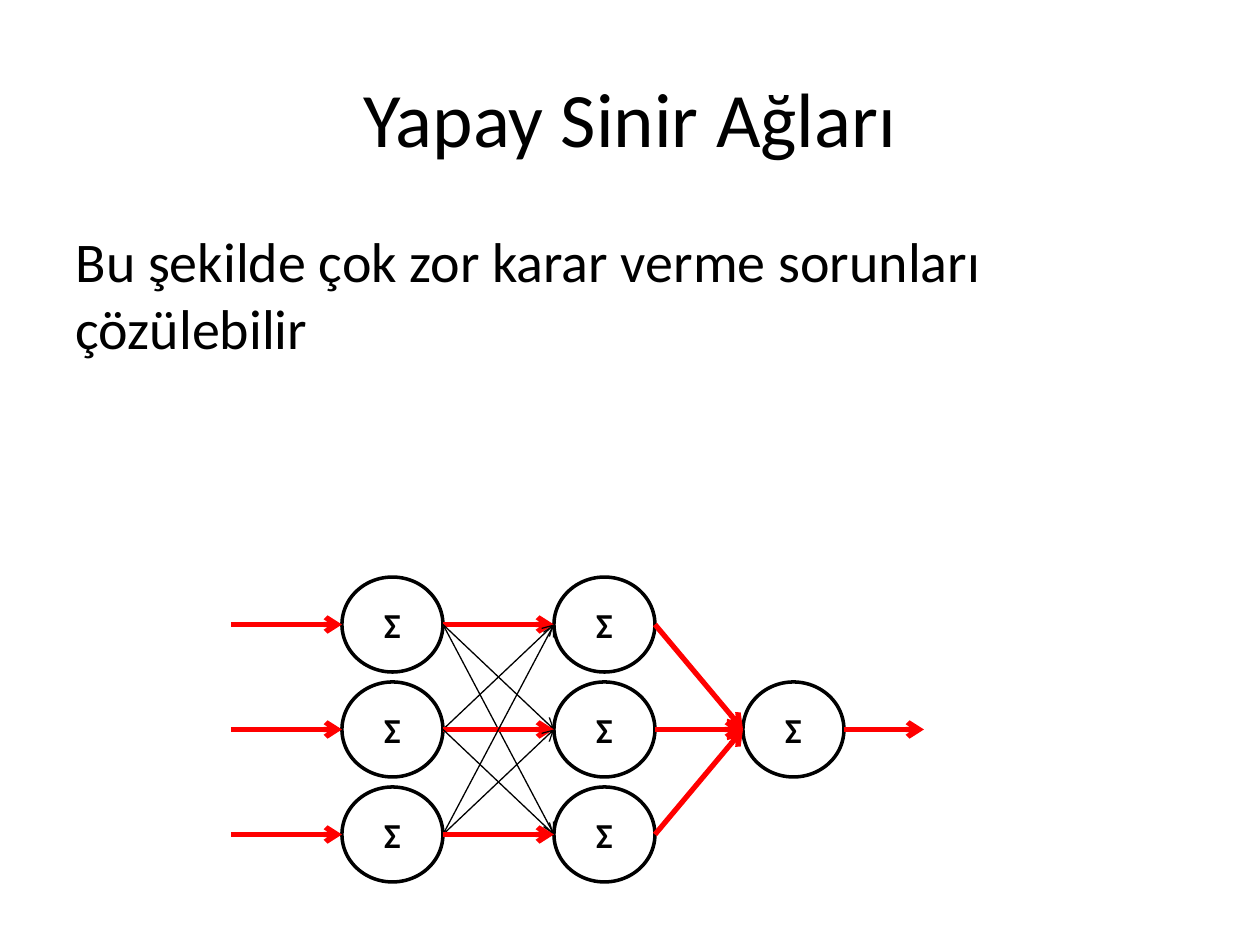
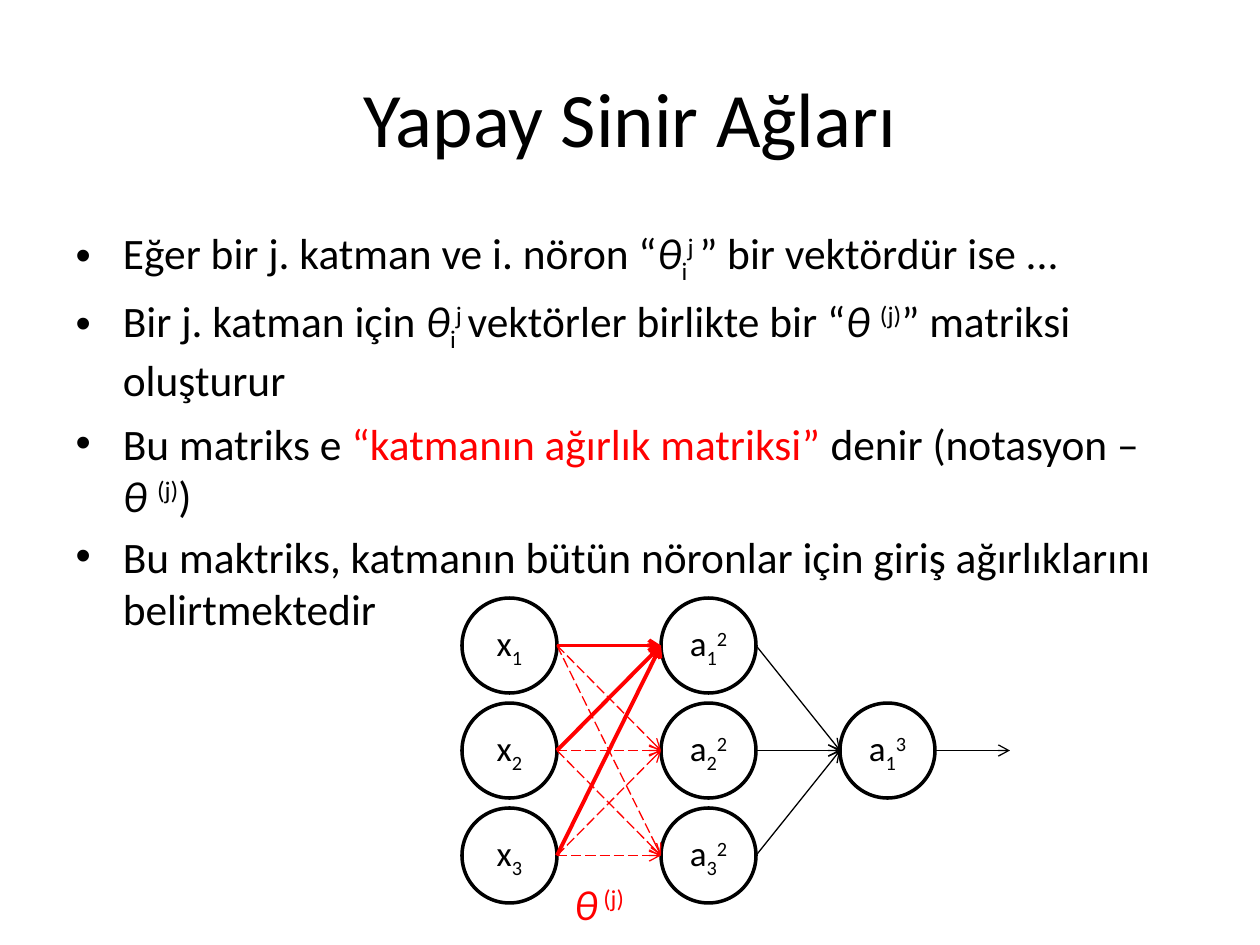
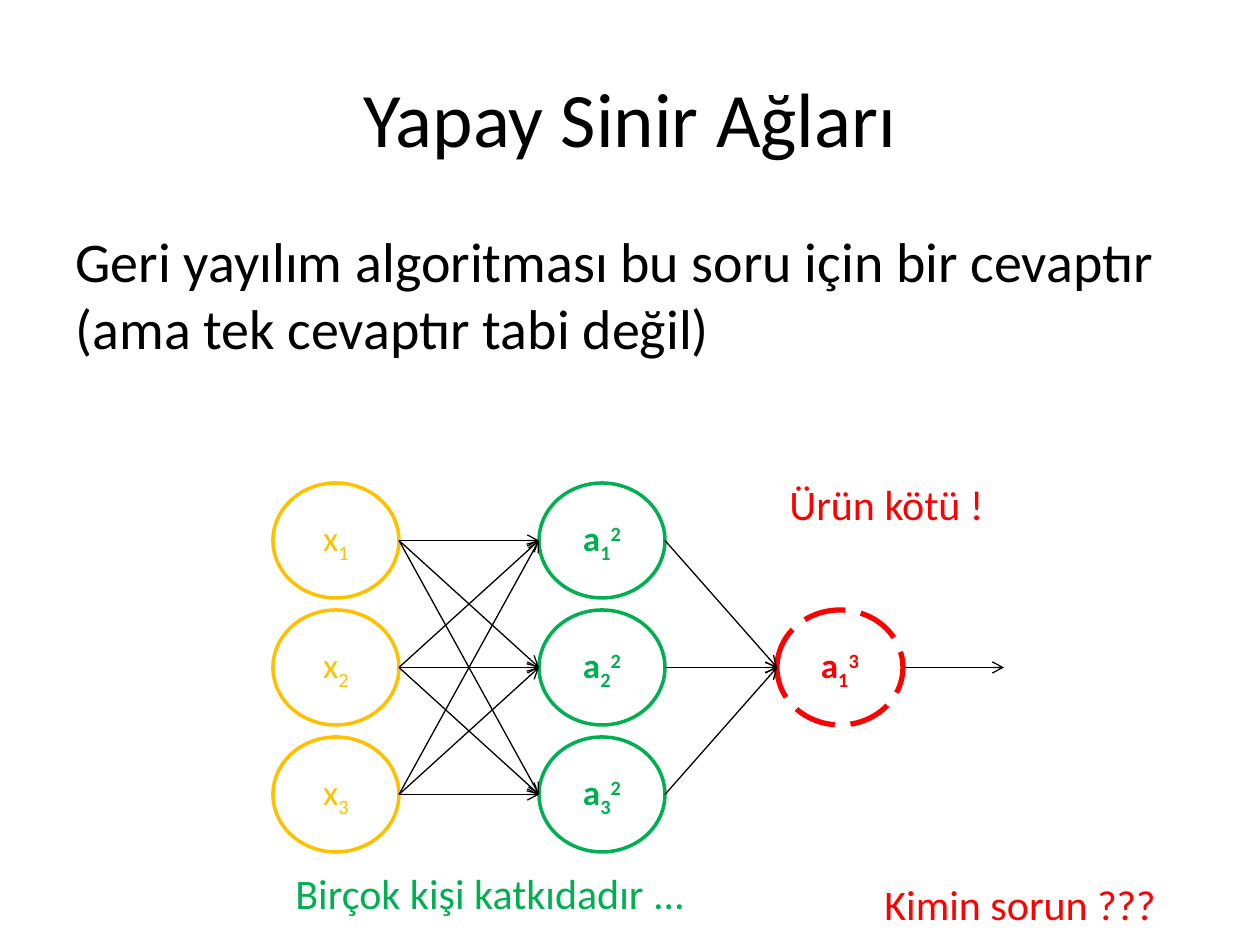
from dataclasses import dataclass
from itertools import product

from lxml.etree import SubElement
from pptx import Presentation
from pptx.dml.color import RGBColor
from pptx.enum.dml import MSO_LINE
from pptx.enum.shapes import MSO_CONNECTOR as Connector, MSO_SHAPE as Shape
from pptx.enum.text import MSO_ANCHOR as Anchor, MSO_AUTO_SIZE as AutoSize, PP_ALIGN as Align
from pptx.oxml.ns import qn
from pptx.util import Pt

PX = 914400 / 126  # EMU in one px


# Theme: colours and type sizes
@dataclass(frozen=True)
class Theme:
    font: str = "Calibri"
    black: str = "000000"
    white: str = "FFFFFF"
    red: str = "FF0000"
    amber: str = "FFC000"
    green: str = "00B050"
    title: float = 44
    lead: float = 32
    bullets: float = 24.8
    caption: float = 24
    node: float = 20


THEME = Theme()
TITLE = "Yapay Sinir Ağları"
TITLE_AREA = (63, 38, 1134, 157)

# Span formats
ITALIC = {"italic": True}
SUB = {"baseline": -25000}
SUP = {"baseline": 30000}
RED = {"color": THEME.red}

# Line formats: colour, width in points, dash
THIN = (THEME.black, 0.75, None)
OUTLINE = (THEME.black, 2, None)
RED_THICK = (THEME.red, 3, None)
RED_STRONG = (THEME.red, 2.25, None)
RED_DASHED = (THEME.red, 0.75, MSO_LINE.LONG_DASH)


@dataclass(frozen=True)
class Layer:
    left: int
    labels: list
    line: tuple = OUTLINE
    bold: bool = False


def emu(*lengths):
    return [round(length * PX) for length in lengths]


# Text
def add_spans(para, spans, size, color=THEME.black, bold=False):
    for text, extra in spans:
        span = para.add_run()
        span.text = text
        values = {"color": color, **extra}
        span.font.color.rgb = RGBColor.from_string(values.pop("color"))
        baseline = values.pop("baseline", None)
        if baseline:
            span._r.get_or_add_rPr().set("baseline", str(baseline))
        values = {"name": THEME.font, "size": Pt(size), "bold": bold, **values}
        for name, value in values.items():
            setattr(span.font, name, value)


def place(shape, area):
    for name, value in zip(("left", "top", "width", "height"), emu(*area)):
        setattr(shape, name, value)


def add_page(deck, body_area):
    page = deck.slides.add_slide(deck.slide_layouts[1])
    title, body = page.placeholders
    place(title, TITLE_AREA)
    place(body, body_area)
    title.text_frame.vertical_anchor = Anchor.MIDDLE
    for holder in (title, body):
        holder.text_frame.auto_size = AutoSize.NONE
    add_spans(title.text_frame.paragraphs[0], [(TITLE, {})], THEME.title)
    return page, body.text_frame


def add_lead(frame, text):
    para = frame.paragraphs[0]
    props = para._p.get_or_add_pPr()
    for name in ("marL", "indent"):
        props.set(name, "0")
    SubElement(props, qn("a:buNone"))
    add_spans(para, [(text, {})], THEME.lead)


def add_bullets(frame, items):
    for index, lines in enumerate(items):
        para = frame.add_paragraph() if index else frame.paragraphs[0]
        for number, spans in enumerate(lines):
            if number:
                para.add_line_break()
            add_spans(para, spans, THEME.bullets)


def add_caption(page, area, spans, color, wrap=True):
    frame = page.shapes.add_textbox(*emu(*area)).text_frame
    frame.word_wrap = wrap
    frame.auto_size = AutoSize.SHAPE_TO_FIT_TEXT
    add_spans(frame.paragraphs[0], spans, THEME.caption, color)


# Network parts
def style_line(line, style):
    color, width, dash = style
    line.color.rgb = RGBColor.from_string(color)
    line.width = Pt(width)
    if dash:
        line.dash_style = dash


def add_node(group, area, label, layer):
    node = group.shapes.add_shape(Shape.OVAL, *emu(*area))
    node.shadow.inherit = False
    node.fill.solid()
    node.fill.fore_color.rgb = RGBColor.from_string(THEME.white)
    style_line(node.line, layer.line)
    frame = node.text_frame
    settings = {"word_wrap": False, "vertical_anchor": Anchor.MIDDLE,
                "margin_left": 0, "margin_right": 0}
    for name, value in settings.items():
        setattr(frame, name, value)
    frame.paragraphs[0].alignment = Align.CENTER
    add_spans(frame.paragraphs[0], label, THEME.node, layer.line[0], layer.bold)


def add_arrow(group, start, end, style):
    arrow = group.shapes.add_connector(Connector.STRAIGHT, *emu(*start, *end))
    style_line(arrow.line, style)
    SubElement(arrow.line._get_or_add_ln(), qn("a:tailEnd"), type="arrow")
    SubElement(arrow._element.spPr, qn("a:effectLst"))


def add_network(page, layers, top, size, pitch, exit_end, hidden_style,
                output_style=THIN, entry_start=None):
    """Draw layers of nodes; hidden_style(source, target) picks a line format."""
    group = page.shapes.add_group_shape()
    width, height = size
    rows = max(len(layer.labels) for layer in layers)

    def node_tops(layer):
        first = top + (rows - len(layer.labels)) * pitch // 2
        return [first + row * pitch for row in range(len(layer.labels))]

    def ports(layer, side):
        return [(layer.left + side, y + height / 2) for y in node_tops(layer)]

    for layer in layers:
        for y, label in zip(node_tops(layer), layer.labels):
            add_node(group, (layer.left, y, width, height), label, layer)

    inputs, hidden, output = layers
    for (i, start), (j, end) in product(enumerate(ports(inputs, width)),
                                        enumerate(ports(hidden, 0))):
        add_arrow(group, start, end, hidden_style(i, j))
    for start in ports(hidden, width):
        add_arrow(group, start, ports(output, 0)[0], output_style)
    exit_start = ports(output, width)[0]
    add_arrow(group, exit_start, (exit_end, exit_start[1]), output_style)
    if entry_start is not None:
        for end in ports(inputs, 0):
            add_arrow(group, (entry_start, end[1]), end, output_style)


# Node labels
def input_labels():
    return [[("x", {}), (str(row), SUB)] for row in (1, 2, 3)]


def neuron_labels(count, layer):
    return [[("a", {}), (str(row + 1), SUB), (str(layer), SUP)] for row in range(count)]


# Slides
def decision_page(deck):
    page, body = add_page(deck, (63, 220, 1134, 325))
    add_lead(body, "Bu şekilde çok zor karar verme sorunları çözülebilir")
    sigma = [("Σ", {})]
    layers = [Layer(left, [sigma] * count, bold=True)
              for left, count in ((342, 3), (554, 3), (743, 1))]
    add_network(page, layers, 577, (101, 95), 105, 924,
                lambda i, j: RED_THICK if i == j else THIN,
                output_style=RED_THICK, entry_start=231)


def weights_page(deck):
    page, body = add_page(deck, (63, 220, 1144, 388))
    vector = [("θ", ITALIC), ("i", SUB), ("j ", SUP)]
    matrix = [("θ ", ITALIC), ("(j)", SUP)]
    add_bullets(body, [
        [[("Eğer bir j. katman ve i. nöron “", {}), *vector, ("” bir vektördür ise ...", {})]],
        [[("Bir j. katman için ", {}), *vector, ("vektörler birlikte bir “", {}),
          *matrix, ("” matriksi oluşturur", {})]],
        [[("Bu matriks e ", {}), ("“katmanın ağırlık matriksi” ", RED),
          ("denir (notasyon – ", {})],
         [*matrix, (")", {})]],
        [[("Bu maktriks, katmanın bütün nöronlar için giriş ağırlıklarını belirtmektedir", {})]],
    ])
    layers = [Layer(462, input_labels()), Layer(661, neuron_labels(3, 2)),
              Layer(840, neuron_labels(1, 3))]
    add_network(page, layers, 598, (95, 95), 105, 1010,
                lambda i, j: RED_DASHED if j or i < 0 else RED_STRONG)
    add_caption(page, (562, 872, 79, 63), [("θ", ITALIC), (" (j)", SUP)], THEME.red, wrap=False)


def backpropagation_page(deck):
    page, body = add_page(deck, (63, 220, 1134, 672))
    add_lead(body, "Geri yayılım algoritması bu soru için bir cevaptır "
                   "(ama tek cevaptır tabi değil)")
    layers = [Layer(273, input_labels(), (THEME.amber, 2, None)),
              Layer(539, neuron_labels(3, 2), (THEME.green, 2, None), True),
              Layer(777, neuron_labels(1, 3), (THEME.red, 3, MSO_LINE.LONG_DASH), True)]
    add_network(page, layers, 483, (126, 115), 127, 1004, lambda i, j: THIN)
    for area, text, color in (
        ((777, 472, 441, 63), "Ürün kötü !", THEME.red),
        ((872, 872, 388, 63), "Kimin sorun ???", THEME.red),
        ((283, 861, 640, 63), "Birçok kişi katkıdadır ...", THEME.green),
    ):
        add_caption(page, area, [(text, {})], color)


def main():
    deck = Presentation()
    deck.slide_width, deck.slide_height = emu(1260, 945)
    for build in (decision_page, weights_page, backpropagation_page):
        build(deck)
    deck.save("out.pptx")


if __name__ == "__main__":
    main()
